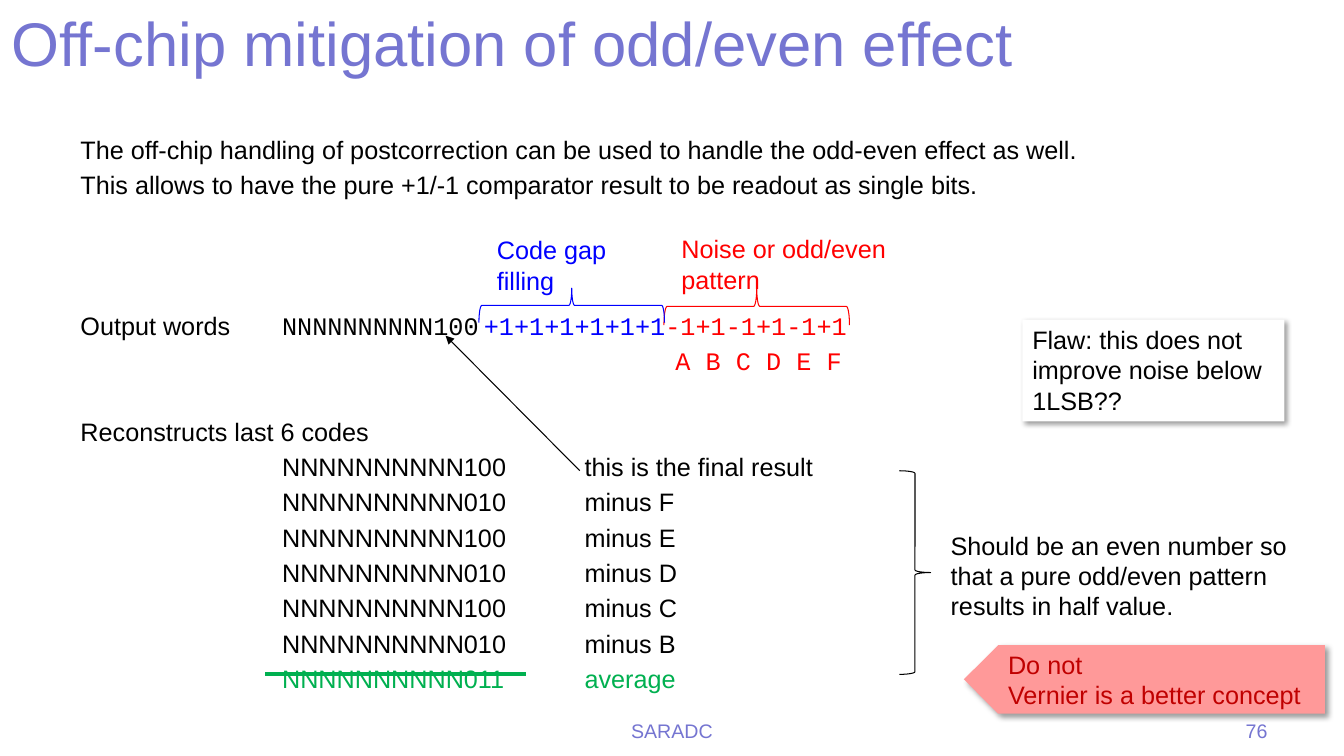
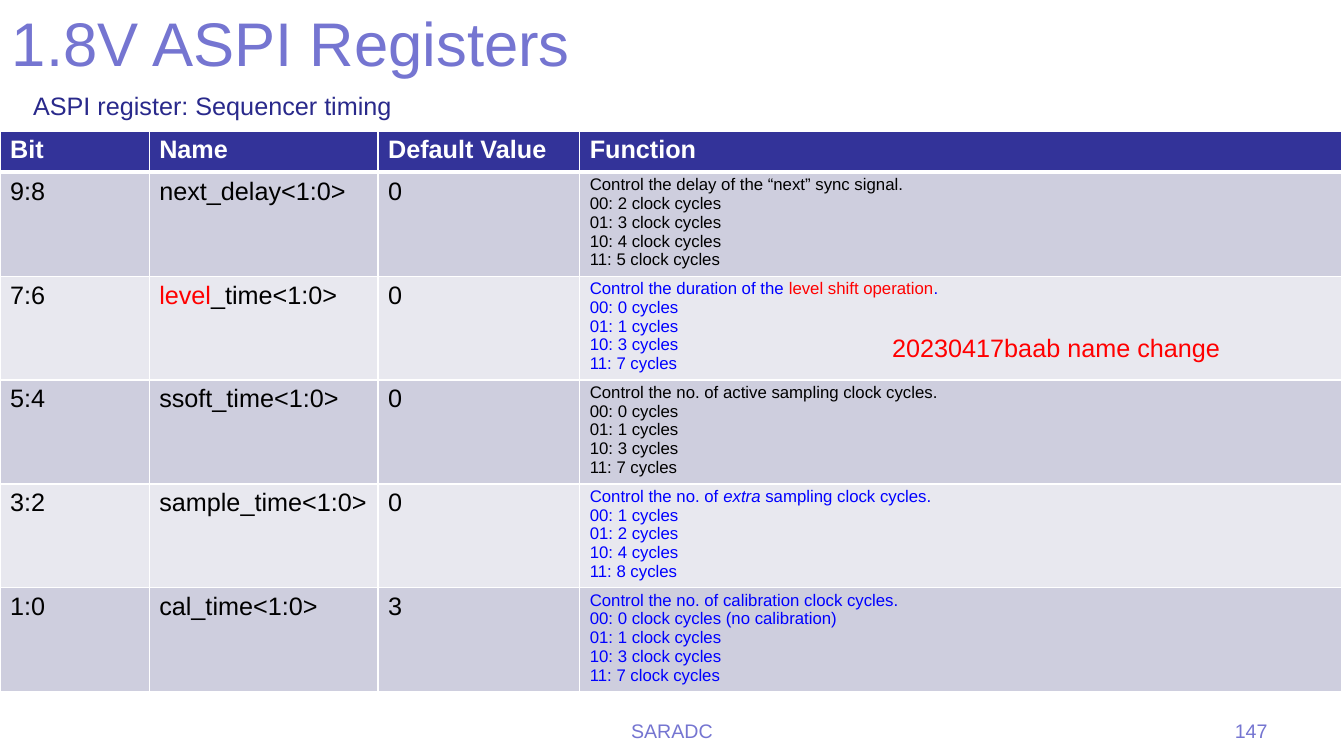
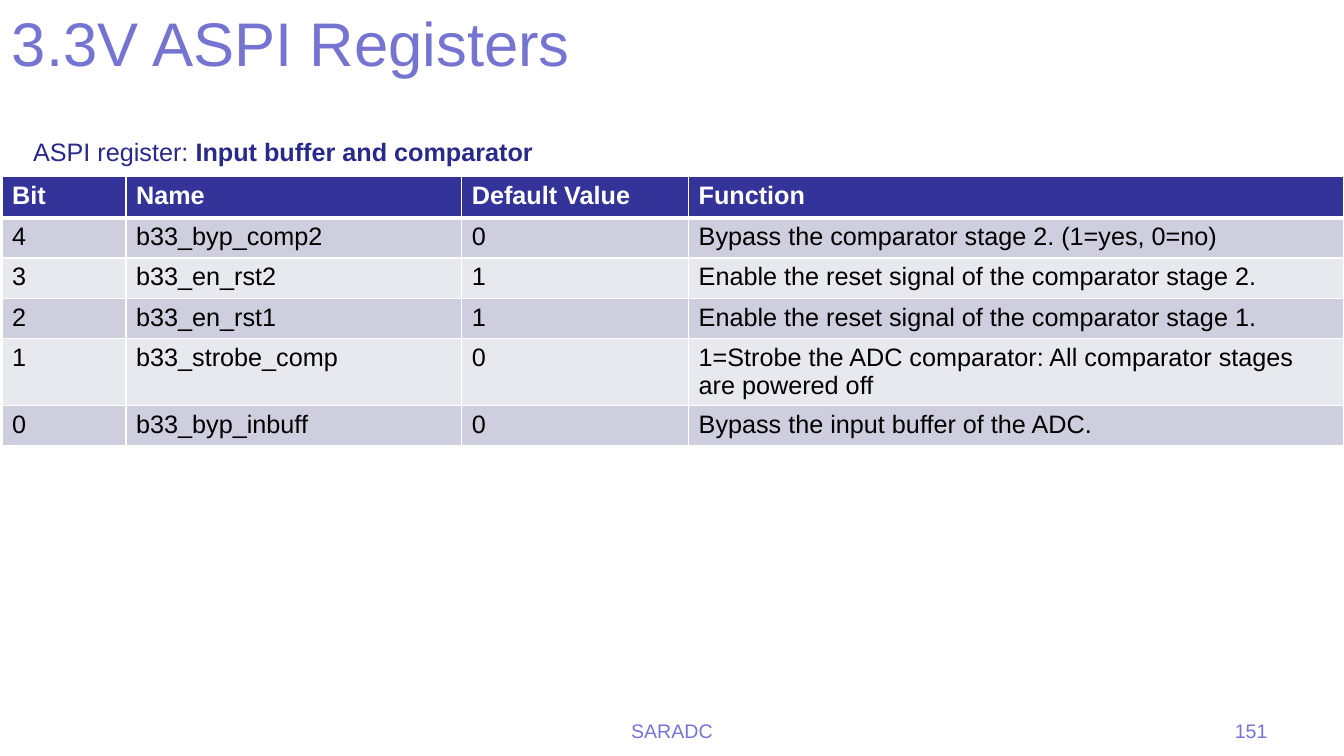
from lxml import etree
from pptx import Presentation
from pptx import util as u
from pptx.dml import color as dml
from pptx.enum import shapes, text
from pptx.oxml import ns

FONT, MONO = "Arial", "Courier New"
BLACK, WHITE, RED, BLUE, GREEN = "000000", "FFFFFF", "FF0000", "0000FF", "00B050"
LILAC, INDIGO, HEADER = "7575D1", "29298B", "333399"
BANDS = ("CECEDE", "E8E8EF")
PINK, DARK_RED = "FF9999", "C00000"
PLAIN = {"name": FONT, "size": u.Pt(18), "bold": False, "italic": False, "color": BLACK}
LINE_PITCH, LINE_GAP = 25.2, 3.6


def rgb(code):
    return dml.RGBColor.from_string(code)


def add_xml(parent, tag, **attributes):
    return etree.SubElement(parent, ns.qn(tag), attributes)


def add_run(paragraph, words, fmt):
    run = paragraph.add_run()
    run.text = words
    for key, value in {**PLAIN, **fmt}.items():
        if key == "color":
            run.font.color.rgb = rgb(value)
        else:
            setattr(run.font, key, value)


def fill_paragraph(paragraph, content, fmt):
    for part in [content] if isinstance(content, str) else content:
        words, extra = (part, {}) if isinstance(part, str) else part
        add_run(paragraph, words, {**fmt, **extra})


def fill_frame(frame, lines, align=text.PP_ALIGN.LEFT, **fmt):
    for index, content in enumerate(lines):
        paragraph = frame.add_paragraph() if index else frame.paragraphs[0]
        paragraph.alignment = align
        fill_paragraph(paragraph, content, fmt)


def textbox(slide, box, lines, **fmt):
    frame = slide.shapes.add_textbox(*map(u.Inches, box)).text_frame
    frame.word_wrap = True
    fill_frame(frame, lines, **fmt)


def brace(slide, kind, box, color, rotation=0):
    mark = slide.shapes.add_shape(kind, *map(u.Inches, box))
    mark.shadow.inherit = False
    mark.fill.background()
    mark.line.color.rgb = rgb(color)
    mark.line.width = u.Pt(0.75)
    mark.rotation = rotation


def stroke(slide, start, end, color, width, arrow=False):
    line = slide.shapes.add_connector(
        shapes.MSO_CONNECTOR.STRAIGHT, *map(u.Inches, start + end))
    line.line.color.rgb = rgb(color)
    line.line.width = u.Pt(width)
    if arrow:
        add_xml(line._element.spPr.find(ns.qn("a:ln")), "a:tailEnd", type="triangle")
    add_xml(line._element.spPr, "a:effectLst")


def callout(slide, kind, box, fill, lines, anchor, adjustments=(), **fmt):
    note = slide.shapes.add_shape(kind, *map(u.Inches, box))
    for index, value in enumerate(adjustments):
        note.adjustments[index] = value
    note.fill.solid()
    note.fill.fore_color.rgb = rgb(fill)
    note.line.fill.background()
    note.shadow.inherit = False
    effects = note._element.spPr.find(ns.qn("a:effectLst"))
    shadow = add_xml(effects, "a:outerShdw", blurRad=str(u.Pt(4)), dist=str(u.Pt(3)),
                     dir="2700000", algn="tl", rotWithShape="0")
    add_xml(add_xml(shadow, "a:srgbClr", val=BLACK), "a:alpha", val="40000")
    note.text_frame.word_wrap = True
    note.text_frame.vertical_anchor = anchor
    fill_frame(note.text_frame, lines, **fmt)


def new_slide(deck, title, number):
    slide = deck.slides.add_slide(deck.slide_layouts[6])
    textbox(slide, (0.02, 0, 12, 1.25), [title], size=u.Pt(44), color=LILAC)
    small = {"size": u.Pt(14), "color": LILAC}
    textbox(slide, (4.11, 7.08, 5.11, 0.42), ["SARADC"], align=text.PP_ALIGN.CENTER, **small)
    textbox(slide, (9.56, 7.08, 3.11, 0.42), [str(number)], align=text.PP_ALIGN.RIGHT, **small)
    return slide


def explanation(slide, box):
    mono = {"name": MONO}
    codes = [("100", "this is the final result"), ("010", "minus F"), ("100", "minus E"),
             ("010", "minus D"), ("100", "minus C"), ("010", "minus B")]
    lines = [
        ("The off-chip handling of postcorrection can be used to handle the odd-even effect as well.", (), 0),
        ("This allows to have the pure +1/-1 comparator result to be readout as single bits.", (), 0),
        (["Output words\t", ("NNNNNNNNNN100\t", mono),
          ("+1+1+1+1+1+1", {**mono, "color": BLUE}),
          ("-1+1-1+1-1+1", {**mono, "color": RED})], (2, 4), 3),
        ([("\tA B C D E F", {**mono, "color": RED})], (5.9,), 0),
        ("Reconstructs last 6 codes", (), 1),
        *[(f"\tNNNNNNNNNN{bits}\t{meaning}", (2, 5), 0) for bits, meaning in codes],
        (["\t", ("NNNNNNNNNN011\taverage", {"color": GREEN})], (2, 5), 0),
    ]
    frame = slide.shapes.add_textbox(*map(u.Inches, box)).text_frame
    frame.word_wrap = True
    for index, (content, stops, skipped) in enumerate(lines):
        paragraph = frame.add_paragraph() if index else frame.paragraphs[0]
        if stops:
            tabs = add_xml(paragraph._p.get_or_add_pPr(), "a:tabLst")
            for stop in stops:
                add_xml(tabs, "a:tab", pos=str(u.Inches(stop)), algn="l")
        if index:
            paragraph.space_before = u.Pt(round(LINE_GAP + skipped * LINE_PITCH, 2))
        fill_paragraph(paragraph, content, {})


def output_word_labels(slide, left, top):
    left_brace = shapes.MSO_SHAPE.LEFT_BRACE
    brace(slide, left_brace, (left + 2.49, top + 0.01, 0.37, 1.84), RED, 90)
    textbox(slide, (left + 1.83, top + 0.16, 2.32, 0.71), ["Noise or odd/even pattern"], color=RED)
    brace(slide, left_brace, (left + 0.67, top, 0.34, 1.84), BLUE, 90)
    textbox(slide, (left, top + 0.17, 1.84, 0.71), ["Code gap filling"], color=BLUE)


def reconstruction_marks(slide, left, top):
    stroke(slide, (left + 3.12, top), (left + 1.79, top - 1.34), BLACK, 0.75, arrow=True)
    brace(slide, shapes.MSO_SHAPE.RIGHT_BRACE, (left + 6.29, top, 0.31, 2.02), BLACK)
    textbox(slide, (left + 6.7, top + 0.54, 3.75, 1.01),
            ["Should be an even number so that a pure odd/even pattern results in half value."])
    stroke(slide, (left, top + 2.02), (left + 2.59, top + 2.02), GREEN, 3)


def mitigation_slide(deck):
    slide = new_slide(deck, "Off-chip mitigation of odd/even effect", 76)
    explanation(slide, (0.7, 1.28, 12, 5.55))
    output_word_labels(slide, 4.83, 2.11)
    reconstruction_marks(slide, 2.63, 4.67)
    callout(slide, shapes.MSO_SHAPE.RECTANGLE, (10.14, 3.17, 2.6, 1.01), WHITE,
            ["Flaw: this does not improve noise below 1LSB??"], text.MSO_ANCHOR.TOP)
    callout(slide, shapes.MSO_SHAPE.LEFT_ARROW, (9.56, 6.4, 3.58, 0.68), PINK,
            ["Do not", "Vernier is a better concept"], text.MSO_ANCHOR.MIDDLE,
            adjustments=(1, 0.5), color=DARK_RED)


def border_cell(cell, row):
    thick = {"a:lnT": row == 1, "a:lnB": row == 0}
    for side in ("a:lnL", "a:lnR", "a:lnT", "a:lnB"):
        width = u.Pt(3 if thick.get(side) else 1)
        edge = add_xml(cell._tc.get_or_add_tcPr(), side, w=str(width))
        add_xml(add_xml(edge, "a:solidFill"), "a:srgbClr", val=WHITE)


def register_table(slide, left, top, widths, heights, registers):
    rows = [("Bit", "Name", "Default Value", "Function"), *registers]
    box = map(u.Inches, (left, top, sum(widths), sum(heights)))
    table = slide.shapes.add_table(len(rows), len(widths), *box).table
    table.first_row = table.horz_banding = False
    for column, width in zip(table.columns, widths):
        column.width = u.Inches(width)
    for row, height in zip(table.rows, heights):
        row.height = u.Inches(height)
    for r, entries in enumerate(rows):
        for c, entry in enumerate(entries):
            cell = table.cell(r, c)
            border_cell(cell, r)
            cell.fill.solid()
            cell.fill.fore_color.rgb = rgb(BANDS[(r - 1) % 2] if r else HEADER)
            lines, fmt = entry if isinstance(entry, tuple) else ([entry], {})
            if r == 0:
                fmt = {"bold": True, "color": WHITE}
            cell.margin_top = u.Inches(0.03 if len(lines) > 1 else 0.05)
            cell.margin_bottom = 0
            fill_frame(cell.text_frame, lines, **fmt)


def options(heading, counts, unit="cycles", color=BLUE, first_note=""):
    notes = (first_note, "", "", "")
    lines = [f"{code:02b}: {count} {unit}{note}"
             for code, (count, note) in enumerate(zip(counts, notes))]
    return [heading, *lines], {"size": u.Pt(12), "color": color}


def sequencer_slide(deck):
    slide = new_slide(deck, "1.8V ASPI Registers", 147)
    red = {"color": RED}
    registers = [
        ("9:8", "next_delay<1:0>", "0",
         options("Control the delay of the “next” sync signal.", (2, 3, 4, 5), "clock cycles", BLACK)),
        ("7:6", ([[("level", red), "_time<1:0>"]], {}), "0",
         options(["Control the duration of the ", ("level shift operation", red), "."], (0, 1, 3, 7))),
        ("5:4", "ssoft_time<1:0>", "0",
         options("Control the no. of active sampling clock cycles.", (0, 1, 3, 7), color=BLACK)),
        ("3:2", "sample_time<1:0>", "0",
         options(["Control the no. of ", ("extra", {"italic": True}), " sampling clock cycles."],
                 (1, 2, 4, 8))),
        ("1:0", "cal_time<1:0>", "3",
         options("Control the no. of calibration clock cycles.", (0, 1, 3, 7), "clock cycles",
                 first_note=" (no calibration)")),
    ]
    register_table(slide, 0, 1.3, (1.48, 2.27, 2, 7.56), [0.41] + [1.03] * 5, registers)
    textbox(slide, (0.23, 0.85, 4, 0.4), ["ASPI register: Sequencer timing"], color=INDIGO)
    textbox(slide, (8.75, 3.25, 3.8, 0.4), ["20230417baab name change"], color=RED)


def comparator_slide(deck):
    slide = new_slide(deck, "3.3V ASPI Registers", 151)
    registers = [
        ("4", "b33_byp_comp2", "0", "Bypass the comparator stage 2. (1=yes, 0=no)"),
        ("3", "b33_en_rst2", "1", "Enable the reset signal of the comparator stage 2."),
        ("2", "b33_en_rst1", "1", "Enable the reset signal of the comparator stage 1."),
        ("1", "b33_strobe_comp", "0",
         "1=Strobe the ADC comparator: All comparator stages are powered off"),
        ("0", "b33_byp_inbuff", "0", "Bypass the input buffer of the ADC."),
    ]
    heights = [0.41, 0.4, 0.4, 0.4, 0.66, 0.4]
    register_table(slide, 0.02, 1.75, (1.23, 3.33, 2.25, 6.5), heights, registers)
    textbox(slide, (0.23, 1.3, 5.5, 0.4),
            [["ASPI register: ", ("Input buffer and comparator", {"bold": True})]], color=INDIGO)


def main():
    deck = Presentation()
    deck.slide_width, deck.slide_height = u.Inches(13.33), u.Inches(7.5)
    for build in (mitigation_slide, sequencer_slide, comparator_slide):
        build(deck)
    deck.save("out.pptx")


if __name__ == "__main__":
    main()
